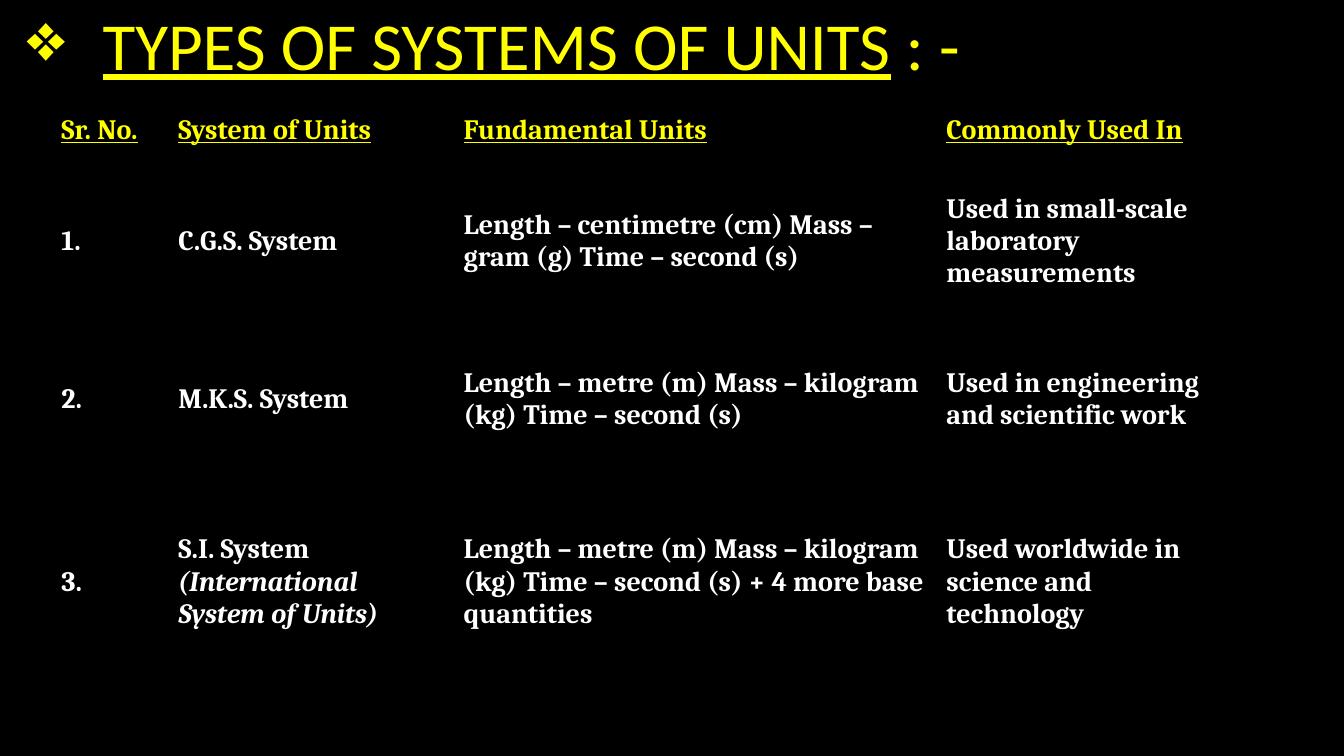
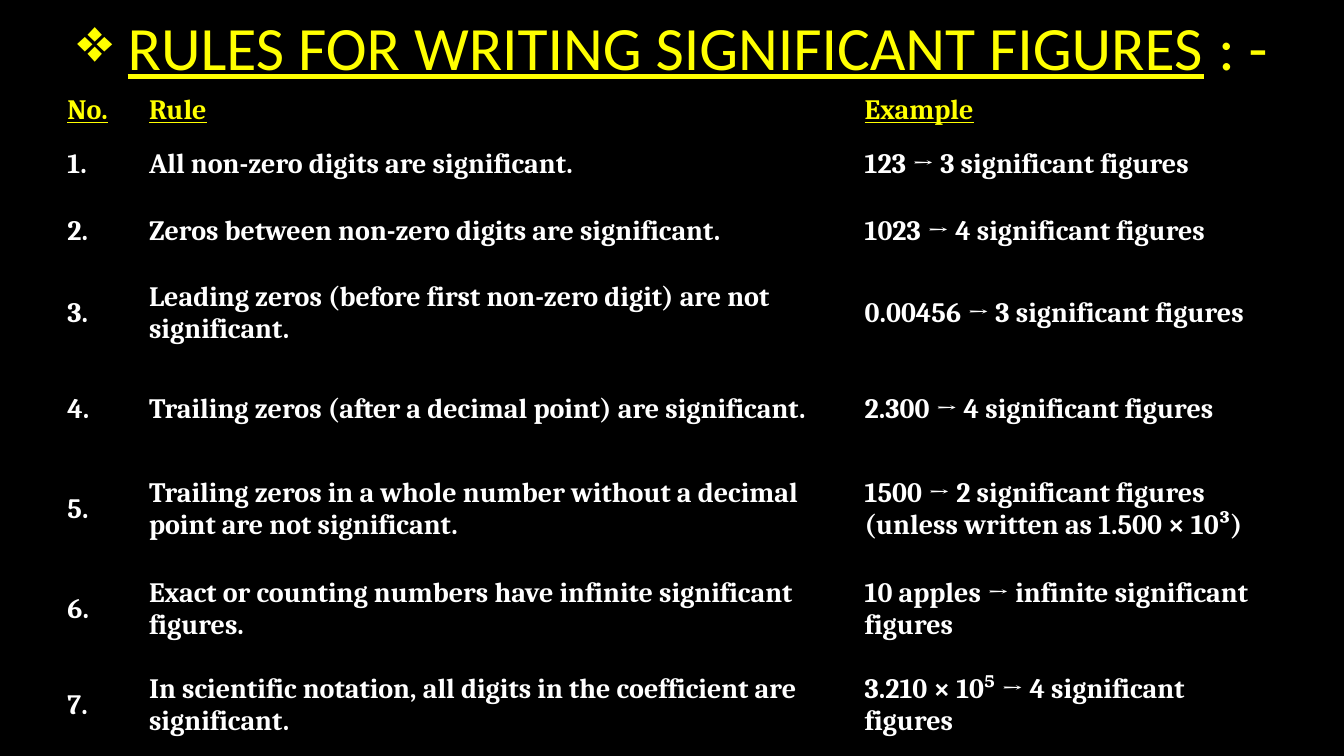
from lxml import etree
from pptx import Presentation
from pptx.dml.color import RGBColor
from pptx.enum import text
from pptx.oxml import ns
from pptx.util import Pt

COLORS = {"background": "000000", "heading": "FFFF00", "body": "FFFFFF"}
TITLE_FONT = {"name": "Calibri", "bold": False}
HEADER_FONT = {"name": "Cambria", "size": Pt(20), "bold": True, "underline": True}
BODY_FONT = {"name": "Cambria", "size": Pt(20), "bold": True, "underline": False}
PLAIN_TABLE = {"first_row": False, "horz_banding": False}
NO_STYLE_NO_GRID = "{2D5ABB26-0587-4C30-8999-92F81FD0307C}"
BULLET = "❖"

SYSTEMS = {
    "title": {"words": "TYPES OF SYSTEMS OF UNITS", "box": (12.2, -7.2, 934.6, 83.5),
              "size": 48, "indent": 54, "align": text.PP_ALIGN.LEFT},
    "table": {
        "origin": (36.7, 70.6),
        "widths": (83.5, 203.8, 344.9, 210.2),
        "heights": (45.4, 113, 113, 147.6),
        "insets": (7.2, 3.6),
        "header": ("Sr. No.", "System of Units", "Fundamental Units", "Commonly Used In"),
        "rows": (
            ("C.G.S. System", "Length – centimetre (cm) Mass – gram (g) Time – second (s)",
             "Used in small-scale laboratory measurements"),
            ("M.K.S. System", "Length – metre (m) Mass – kilogram (kg) Time – second (s)",
             "Used in engineering and scientific work"),
            (("S.I. System ", "(International System of Units)"),
             "Length – metre (m) Mass – kilogram (kg) Time – second (s) + 4 more base quantities",
             "Used worldwide in science and technology"),
        ),
    },
}

RULES = {
    "title": {"words": "RULES FOR WRITING SIGNIFICANT FIGURES", "box": (-5, 0, 970.6, 72),
              "size": 44, "indent": 36, "align": text.PP_ALIGN.CENTER},
    "table": {
        "origin": (43.9, 64.8),
        "widths": (58.3, 511.2, 296.6),
        "heights": (28.1, 48.2, 48.2, 68.4, 68.4, 74.9, 68.4, 68.4),
        "insets": (4.3, 2.2),
        "header": ("No.", "Rule", "Example"),
        "rows": (
            ("All non-zero digits are significant.", "123 → 3 significant figures"),
            ("Zeros between non-zero digits are significant.", "1023 → 4 significant figures"),
            ("Leading zeros (before first non-zero digit) are not significant.",
             "0.00456 → 3 significant figures"),
            ("Trailing zeros (after a decimal point) are significant.",
             "2.300 → 4 significant figures"),
            ("Trailing zeros in a whole number without a decimal point are not significant.",
             "1500 → 2 significant figures (unless written as 1.500 × 10³)"),
            ("Exact or counting numbers have infinite significant figures.",
             "10 apples → infinite significant figures"),
            ("In scientific notation, all digits in the coefficient are significant.",
             "3.210 × 10⁵ → 4 significant figures"),
        ),
    },
}


def apply(target, values):
    """Set each named attribute of the target."""
    for name, value in values.items():
        setattr(target, name, value)


def add_run(paragraph, words, color, font):
    """Append a run with the given colour and font values."""
    run = paragraph.add_run()
    run.text = words
    apply(run.font, font)
    run.font.color.rgb = RGBColor.from_string(COLORS[color])


def add_title(slide, words, box, size, indent, align):
    """Place the bulleted, underlined title in its box."""
    frame = slide.shapes.add_textbox(*map(Pt, box)).text_frame
    apply(frame, {"word_wrap": True, "vertical_anchor": text.MSO_ANCHOR.MIDDLE})
    paragraph = frame.paragraphs[0]
    apply(paragraph, {"alignment": align, "line_spacing": 0.9})
    properties = paragraph._p.get_or_add_pPr()
    properties.set("marL", str(Pt(indent)))
    properties.set("indent", str(-Pt(indent)))
    etree.SubElement(properties, ns.qn("a:buChar")).set("char", BULLET)
    for part, underline in ((words, True), (" : -", False)):
        add_run(paragraph, part, "heading", {**TITLE_FONT, "size": Pt(size), "underline": underline})


def fill_cell(cell, content, insets, color, font):
    """Write a cell; the second part of a pair is italic."""
    side, end = map(Pt, insets)
    apply(cell, {"margin_left": side, "margin_right": side, "margin_top": end,
                 "margin_bottom": end, "vertical_anchor": text.MSO_ANCHOR.MIDDLE})
    cell.fill.background()
    parts = (content,) if isinstance(content, str) else content
    for index, part in enumerate(parts):
        add_run(cell.text_frame.paragraphs[0], part, color, {**font, "italic": index > 0})


def add_numbered_table(slide, origin, widths, heights, insets, header, rows):
    """Place an unruled table whose body rows are numbered."""
    size = sum(widths), sum(heights)
    frame = slide.shapes.add_table(len(heights), len(widths), *map(Pt, origin + size))
    table = frame.table
    apply(table, PLAIN_TABLE)
    table._tbl.tblPr.find(ns.qn("a:tableStyleId")).text = NO_STYLE_NO_GRID
    for column, width in zip(table.columns, widths):
        column.width = Pt(width)
    numbered = [(f"{number}.", *row) for number, row in enumerate(rows, 1)]
    for index, contents in enumerate([header, *numbered]):
        table.rows[index].height = Pt(heights[index])
        color, font = ("body", BODY_FONT) if index else ("heading", HEADER_FONT)
        for cell, content in zip(table.rows[index].cells, contents):
            fill_cell(cell, content, insets, color, font)


def add_table_slide(presentation, title, table):
    """Add a black slide with a title above a table."""
    slide = presentation.slides.add_slide(presentation.slide_layouts[6])
    fill = slide.background.fill
    fill.solid()
    fill.fore_color.rgb = RGBColor.from_string(COLORS["background"])
    add_numbered_table(slide, **table)
    add_title(slide, **title)


def main():
    """Build and save the presentation."""
    presentation = Presentation()
    apply(presentation, {"slide_width": Pt(960), "slide_height": Pt(540)})
    for content in (SYSTEMS, RULES):
        add_table_slide(presentation, **content)
    presentation.save("out.pptx")


if __name__ == "__main__":
    main()
